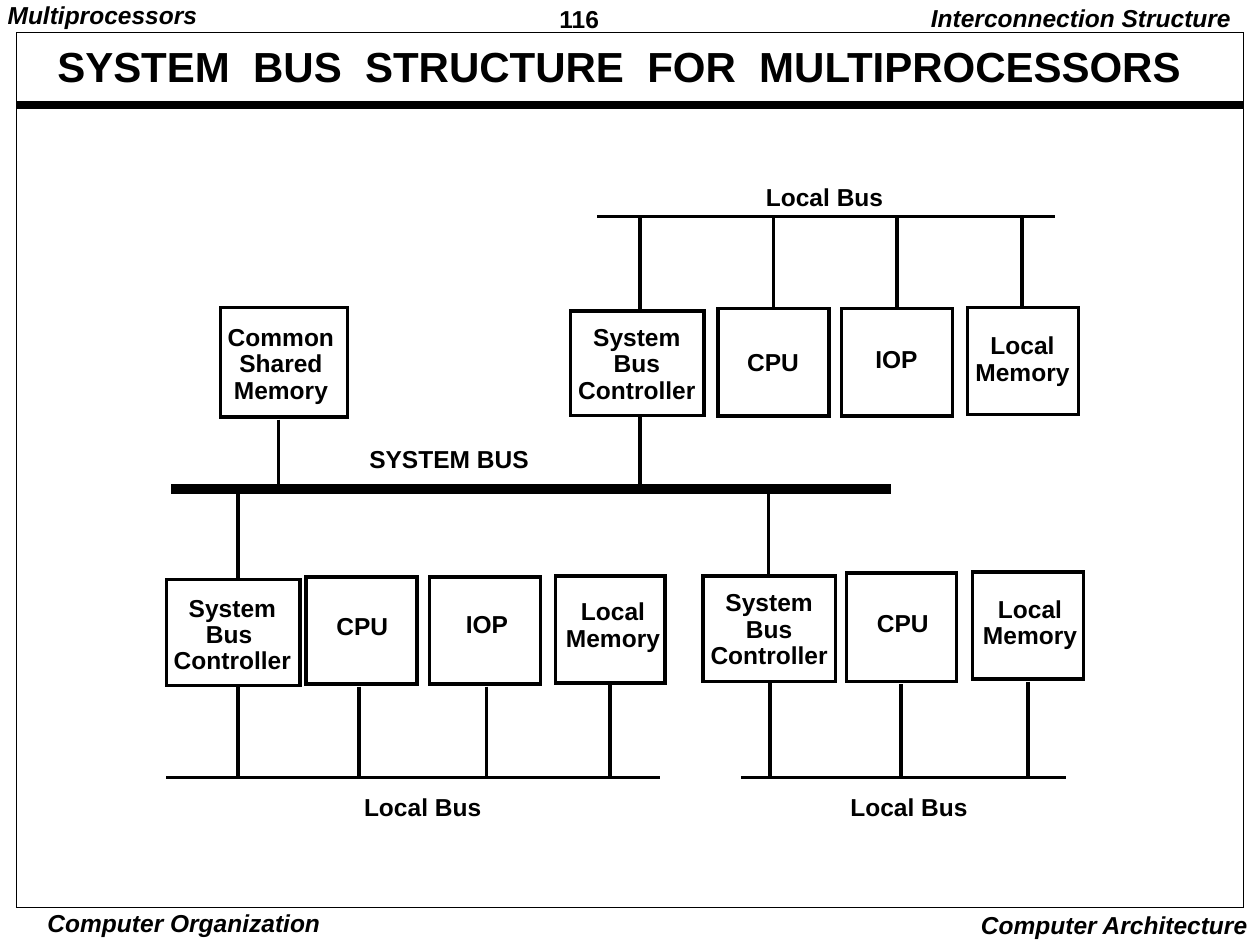
from pptx import Presentation
from pptx.dml.color import RGBColor
from pptx.enum.shapes import MSO_CONNECTOR, MSO_SHAPE
from pptx.enum.text import MSO_ANCHOR, MSO_AUTO_SIZE, PP_ALIGN
from pptx.oxml.ns import qn
from pptx.util import Inches, Pt

LEFT, MID, RIGHT = PP_ALIGN.LEFT, PP_ALIGN.CENTER, PP_ALIGN.RIGHT
RECT, LINE = MSO_SHAPE.RECTANGLE, MSO_CONNECTOR.STRAIGHT
GROW, FIXED = MSO_AUTO_SIZE.SHAPE_TO_FIT_TEXT, MSO_AUTO_SIZE.NONE
CORE = MSO_ANCHOR.MIDDLE

THEME = {
    "ink": RGBColor(0, 0, 0),
    "font": "Arial",
    "text": Pt(14), "title": Pt(24),
    "thin": Pt(0.5), "wire": Pt(2), "rule": Pt(4.5), "bus": Pt(6),
}

deck = Presentation()
deck.slide_width, deck.slide_height = Inches(10), Inches(7.5)
slide = deck.slides.add_slide(deck.slide_layouts[6])
shapes = slide.shapes
UNIT = deck.slide_width // 100  # grid of 100 columns by 75 rows
SHIFT = {LEFT: 0, MID: 0.5, RIGHT: 1}  # share of the slack put on the left


def wire(x1, y1, x2, y2, width="wire"):
    ends = [round(v * UNIT) for v in (x1, y1, x2, y2)]
    line = shapes.add_connector(LINE, *ends)
    line.line.color.rgb = THEME["ink"]
    line.line.width = THEME[width]
    props = line._element.spPr
    props.append(props.makeelement(qn("a:effectLst"), {}))


def label(text, x, y, w, h, align=MID, pad=(1, 0.5), gap=0.9, slack=1, **form):
    """Write text, one paragraph a line; slack widens the box so that no
    line breaks, and form overrides font values."""
    area = (x - slack * SHIFT[align], y, w + slack, h)
    box = shapes.add_textbox(*[round(v * UNIT) for v in area])
    frame = box.text_frame
    frame.word_wrap, frame.auto_size = False, GROW
    frame.margin_left = frame.margin_right = round(pad[0] * UNIT)
    frame.margin_top = frame.margin_bottom = round(pad[1] * UNIT)
    frame.text = text
    look = {"name": THEME["font"], "size": THEME["text"], "bold": True, **form}
    for para in frame.paragraphs:
        para.alignment, para.line_spacing = align, gap
        para.font.color.rgb = THEME["ink"]
        for key, value in look.items():
            setattr(para.font, key, value)
    return frame


# Page frame, header and footer
label("116", 43.7, 0, 10.8, 2.9, LEFT, (0.7, 0.3), 1.0)
label("Computer Organization", 3.5, 72, 22.2, 2.6, MID, (0.3, 0.1), 1.0, italic=True)
label("Computer Architecture", 76.8, 71.7, 23.2, 3.3, RIGHT, gap=1.0, italic=True)
label("Interconnection Structure", 72.9, 0, 25.8, 3.1, RIGHT, italic=True)
label("Multiprocessors", -0.1, 0, 16.5, 2.7, LEFT, (0.7, 0.3), italic=True)
wire(1.3, 8.3, 98.7, 8.3, "rule")
title = label("SYSTEM  BUS  STRUCTURE  FOR  MULTIPROCESSORS",
              0, 1.9, 98.3, 7.1, slack=0, size=THEME["title"])
title.word_wrap, title.auto_size = True, FIXED
title.vertical_anchor = CORE

# Units: name, box left, top, width, height, then text left and top
SHARED = "Common\nShared\nMemory"
CONTROL = "System\nBus\nController"
MEMORY = "Local\nMemory"
SPANS = {SHARED: (10.4, 7.3), CONTROL: (11.3, 7.3), MEMORY: (9.5, 5.2),
         "CPU": (6.1, 3.1), "IOP": (5.3, 3.1)}
UNITS = [
    (SHARED, 17.5, 24.4, 10.1, 8.7, 17.1, 25.3),
    (CONTROL, 45.3, 24.7, 10.6, 8.3, 44.9, 25.3),
    ("CPU", 57, 24.5, 8.8, 8.5, 58.3, 27.3),
    ("IOP", 66.8, 24.5, 8.8, 8.5, 68.5, 27.1),
    (MEMORY, 76.8, 24.4, 8.8, 8.5, 76.4, 26),
    (CONTROL.replace("Bus", "Bus "), 13.2, 46, 10.6, 8.4, 12.8, 46.8),
    ("CPU", 24.3, 45.8, 8.8, 8.5, 25.7, 48.3),
    ("IOP", 34.1, 45.8, 8.8, 8.5, 36, 48.1),
    (MEMORY, 44.1, 45.7, 8.7, 8.5, 43.9, 47.1),
    (CONTROL, 55.8, 45.7, 10.5, 8.4, 55.4, 46.4),
    ("CPU", 67.2, 45.5, 8.7, 8.6, 68.6, 48),
    (MEMORY, 77.2, 45.4, 8.8, 8.5, 77, 46.9),
]
frames = [(1.3, 2.6, 97.4, 69.4, "thin")]
frames += [(*unit[1:5], "wire") for unit in UNITS]
for *area, width in frames:
    box = shapes.add_shape(RECT, *[round(v * UNIT) for v in area])
    box.shadow.inherit = False
    box.fill.background()
    box.line.color.rgb = THEME["ink"]
    box.line.width = THEME[width]
    edge = box._element.spPr.find(qn("a:ln"))
    edge.append(edge.makeelement(qn("a:miter"), {"lim": "800000"}))
for name, *area, x, y in UNITS:
    label(name, x, y, *SPANS[name.replace("Bus ", "Bus")])

# Buses: row, left, right, line, name, text left, top and width
BUSES = [
    (38.8, 13.6, 70.7, "bus", "SYSTEM BUS", 28.3, 35, 14.7),
    (17.2, 47.4, 83.7, "wire", "Local Bus", 59.8, 14.2, 11.3),
    (61.7, 13.2, 52.4, "wire", "Local Bus", 27.9, 62.6, 11.3),
    (61.7, 58.8, 84.6, "wire", "Local Bus", 66.5, 62.6, 11.3),
]
for row, start, end, width, name, x, y, span in BUSES:
    wire(start, row, end, row, width)
    label(name, x, y, span, 3.1)

# Stems from bus to unit: (column, unit edge) for each bus row
STEMS = {
    17.2: [(50.8, 24.7), (61.4, 24.5), (71.2, 24.5), (81.1, 24.4)],
    38.8: [(22.1, 33.3), (50.8, 33), (18.9, 46), (61, 45.8)],
    61.7: [(18.9, 54.3), (28.5, 54.5), (38.6, 54.5), (48.4, 54.4),
           (61.1, 54), (71.5, 54.3), (81.6, 54.1)],
}
for row, stems in STEMS.items():
    for col, edge in stems:
        wire(col, edge, col, row)

deck.save("out.pptx")
